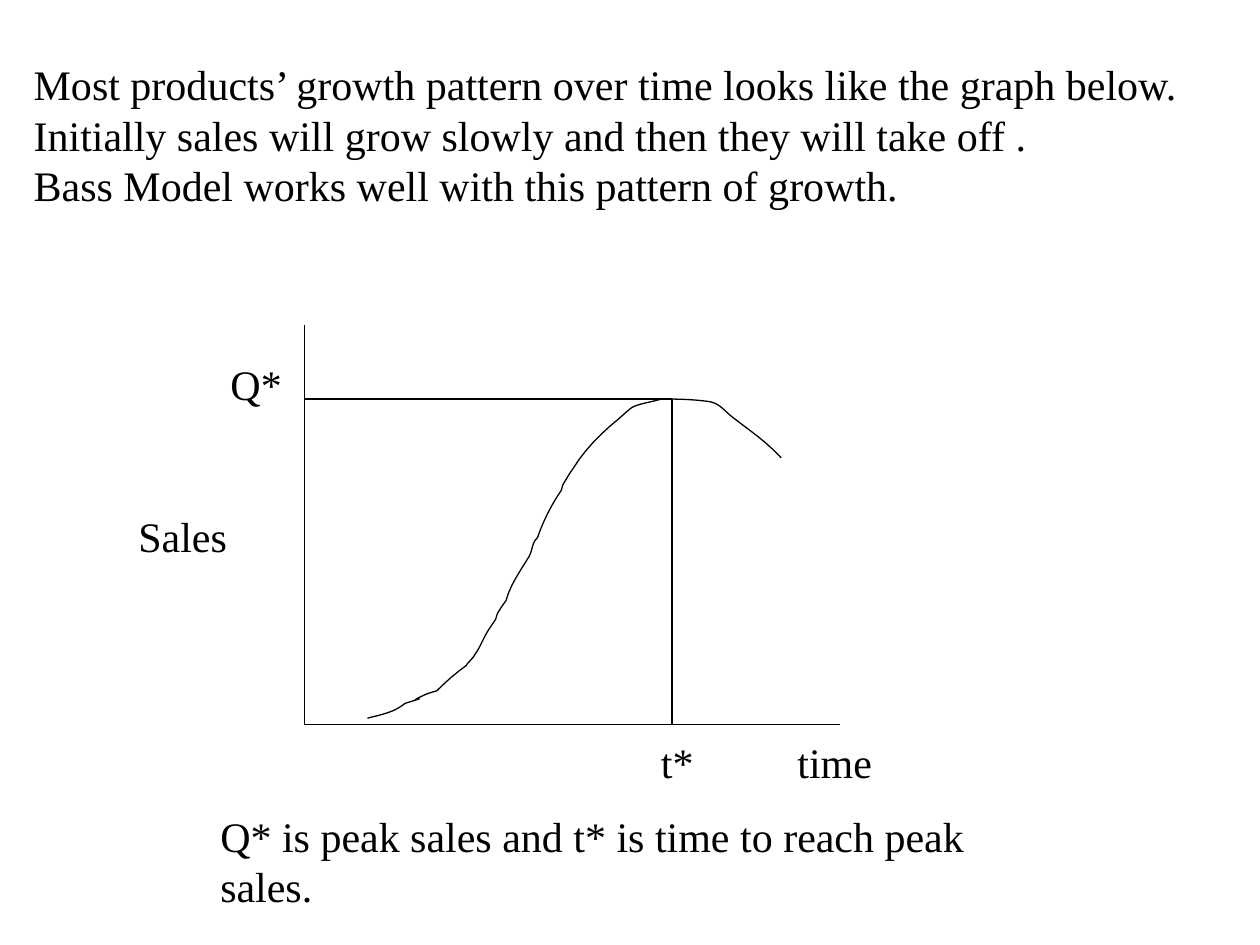
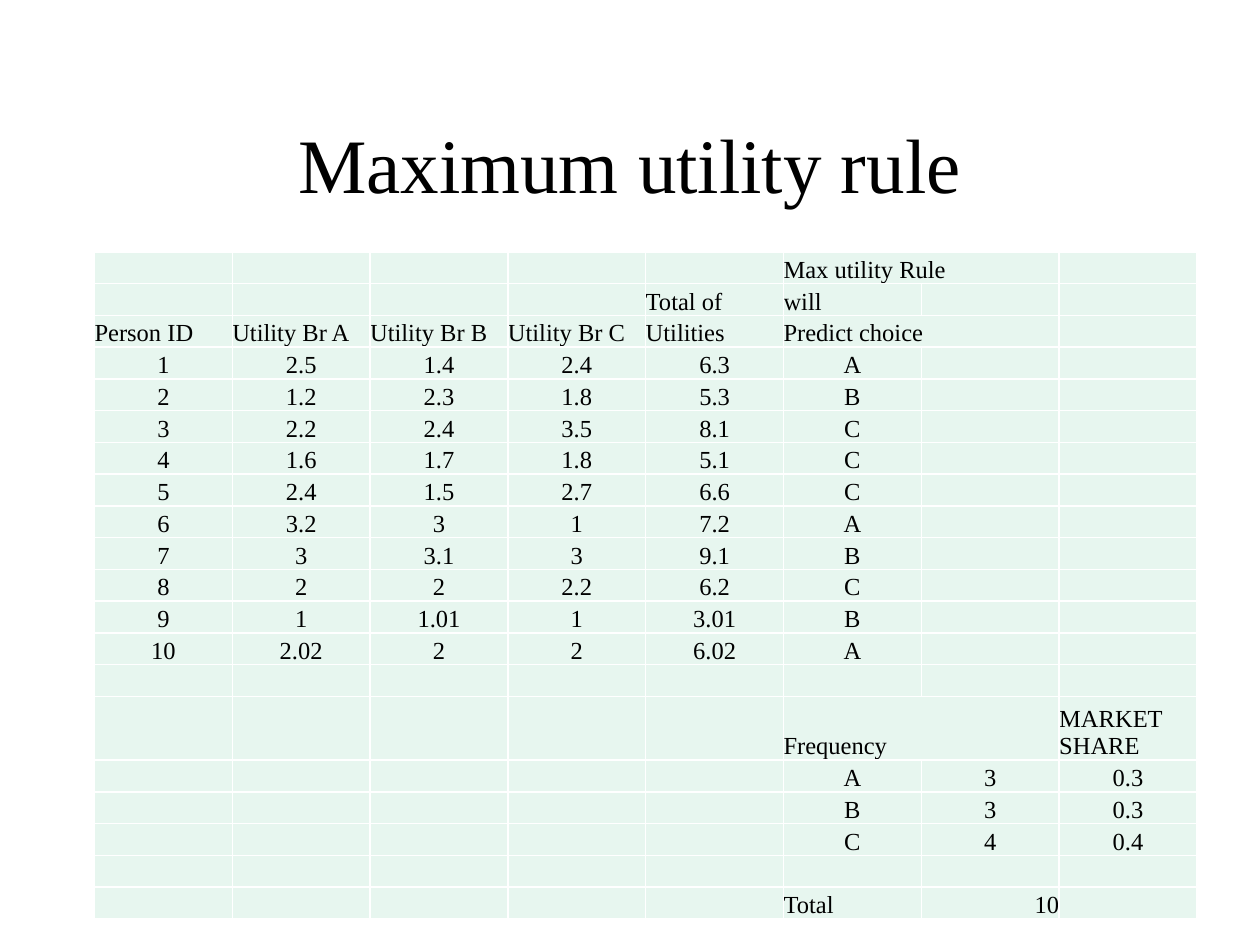
from dataclasses import dataclass
from pptx import Presentation
from pptx.dml.color import RGBColor
from pptx.enum.text import MSO_ANCHOR, PP_ALIGN
from pptx.enum.shapes import MSO_CONNECTOR
from pptx.oxml.ns import qn
from pptx.util import Pt
from lxml.etree import SubElement


@dataclass(frozen=True)
class Theme:
    font: str = "Times New Roman"
    ink: str = "000000"
    paper: str = "FFFFFF"
    mint: str = "E7F6EF"
    title: float = 44
    body: float = 24
    body_leading: float = 28.8
    table: float = 14
    line: float = 0.75
    border: float = 1


def assign(target, values):
    for name, value in values.items():
        setattr(target, name, value)


class Deck:
    def __init__(self, theme, width, height):
        self.theme = theme
        self.presentation = Presentation()
        assign(self.presentation, {"slide_width": Pt(width), "slide_height": Pt(height)})
        self.slide = None

    def new_slide(self):
        self.slide = self.presentation.slides.add_slide(self.presentation.slide_layouts[6])
        fill = self.slide.background.fill
        fill.solid()
        fill.fore_color.rgb = RGBColor.from_string(self.theme.paper)

    def add_words(self, paragraph, words, size, **layout):
        assign(paragraph, layout)
        run = paragraph.add_run()
        run.text = words
        assign(run.font, {"name": self.theme.font, "size": Pt(size)})
        run.font.color.rgb = RGBColor.from_string(self.theme.ink)

    def text(self, x, y, width, height, *lines, wrap=False):
        frame = self.slide.shapes.add_textbox(Pt(x), Pt(y), Pt(width), Pt(height)).text_frame
        frame.word_wrap = wrap
        for index, words in enumerate(lines):
            paragraph = frame.add_paragraph() if index else frame.paragraphs[0]
            self.add_words(paragraph, words, self.theme.body,
                           line_spacing=Pt(self.theme.body_leading))

    def title(self, words):
        frame = self.slide.shapes.add_textbox(Pt(54), Pt(48), Pt(612), Pt(90)).text_frame
        assign(frame, {"word_wrap": True, "vertical_anchor": MSO_ANCHOR.MIDDLE})
        self.add_words(frame.paragraphs[0], words, self.theme.title,
                       alignment=PP_ALIGN.CENTER)

    def stroke(self, line):
        line.width = Pt(self.theme.line)
        line.color.rgb = RGBColor.from_string(self.theme.ink)

    def line(self, x1, y1, x2, y2):
        connector = self.slide.shapes.add_connector(
            MSO_CONNECTOR.STRAIGHT, Pt(x1), Pt(y1), Pt(x2), Pt(y2))
        self.stroke(connector.line)
        SubElement(connector._element.spPr, qn("a:effectLst"))

    def curve(self, start, segments, steps=6):
        points, here = [], start
        for x1, y1, x2, y2, x3, y3 in segments:
            for step in range(1, steps + 1):
                t = step / steps
                weights = ((1 - t) ** 3, 3 * t * (1 - t) ** 2, 3 * t * t * (1 - t), t ** 3)
                points.append(tuple(
                    Pt(sum(w * v for w, v in zip(weights, axis)))
                    for axis in ((here[0], x1, x2, x3), (here[1], y1, y2, y3))))
            here = (x3, y3)
        builder = self.slide.shapes.build_freeform(Pt(start[0]), Pt(start[1]))
        builder.add_line_segments(points, close=False)
        shape = builder.convert_to_shape()
        shape.shadow.inherit = False
        shape.fill.background()
        self.stroke(shape.line)

    def cell(self, cell, words, alignment):
        assign(cell, {"margin_left": 0, "margin_right": 0, "margin_top": 0,
                      "margin_bottom": 0, "vertical_anchor": MSO_ANCHOR.BOTTOM})
        paragraph = cell.text_frame.paragraphs[0]
        if words:
            self.add_words(paragraph, words, self.theme.table, alignment=alignment)
        else:
            SubElement(paragraph._p, qn("a:endParaRPr"), sz=str(self.theme.table * 100))
        properties = cell._tc.get_or_add_tcPr()
        for side in ("a:lnL", "a:lnR", "a:lnT", "a:lnB"):
            border = SubElement(properties, qn(side), w=str(int(Pt(self.theme.border))))
            SubElement(SubElement(border, qn("a:solidFill")), qn("a:srgbClr"),
                       val=self.theme.paper)
        cell.fill.solid()
        cell.fill.fore_color.rgb = RGBColor.from_string(self.theme.mint)

    def table(self, x, y, width, heights, rows, merged_rows, merged_column, align):
        columns = len(rows[0])
        table = self.slide.shapes.add_table(
            len(rows), columns, Pt(x), Pt(y), Pt(width), Pt(sum(heights))).table
        assign(table, {"first_row": False, "horz_banding": False})
        for column in table.columns:
            column.width = Pt(width / columns)
        for r, (row, height) in enumerate(zip(rows, heights)):
            table.rows[r].height = Pt(height)
            for c, words in enumerate(row):
                self.cell(table.cell(r, c), words, align(r, c))
        for r in merged_rows:
            table.cell(r, merged_column).merge(table.cell(r, merged_column + 1))


deck = Deck(Theme(), 720, 540)

deck.new_slide()
origin_x, origin_y = 174, 414
peak_x, peak_y = 384, 228
deck.line(origin_x, 186, origin_x, origin_y)
deck.line(origin_x, origin_y, 480, origin_y)
deck.text(448.6, 417.6, 57, 36, "time")
deck.text(72, 288, 65, 36, "Sales")
deck.curve((210, 410.4), [
    (215.3, 409, 223.2, 407.5, 228, 404.4),
    (233.3, 401, 229.7, 402.5, 235.2, 400.8),
    (247.7, 396.7, 229, 403.2, 242.4, 397.2),
    (244.8, 396, 249.6, 394.8, 249.6, 394.8),
    (254.9, 389.5, 260.6, 384.5, 266.4, 380.4),
    (267.8, 378, 270, 376.6, 271.2, 374.4),
    (274.3, 370, 275.8, 365.8, 278.4, 361.2),
    (280.1, 358.6, 283.2, 354, 283.2, 354),
    (283.7, 352.8, 283.9, 351.4, 284.4, 350.4),
    (285.8, 347.8, 289.2, 343.2, 289.2, 343.2),
    (291.6, 334.1, 297.4, 326.2, 302.4, 318),
    (304.6, 313.9, 303.8, 310.3, 307.2, 307.2),
    (310.3, 298.1, 314.6, 289.4, 320.4, 280.8),
    (321.1, 280.1, 321.1, 278.6, 321.6, 277.2),
    (323.3, 274.3, 325.4, 270.7, 327.6, 267.6),
    (334.1, 257, 343.4, 247.7, 352.8, 240),
    (355.7, 237.6, 358.6, 234.7, 361.2, 232.8),
    (365.8, 230.4, 373, 229.7, 378, 228),
    (386.6, 228, 394.6, 228.2, 403.2, 229.2),
    (410.4, 229.7, 412.6, 233.3, 417.6, 237.6),
    (427.7, 245.5, 438.5, 252.7, 446.4, 261.6),
])
deck.line(peak_x, peak_y, peak_x, origin_y)
deck.line(peak_x, peak_y, origin_x, peak_y)
deck.text(370.6, 417.6, 33, 36, "t*")
deck.text(124.6, 201.6, 44, 36, "Q*")
deck.text(118.8, 459.4, 490, 65,
          "Q* is peak sales and t* is time to reach peak sales.", wrap=True)
deck.text(12.2, 30, 690, 93.6,
          "Most products’ growth pattern over time looks like the graph below.",
          "Initially sales will grow slowly and then they will take off .",
          "Bass Model works well with this pattern of growth.", wrap=True)

deck.new_slide()
deck.title("Maximum utility rule")
blank = [""] * 8
left_blank = [""] * 5
headings = [
    left_blank + ["Max utility Rule", "", ""],
    [""] * 4 + ["Total of", "will", "", ""],
    ["Person ID", "Utility Br A", "Utility Br B", "Utility Br C", "Utilities",
     "Predict choice", "", ""],
]
people = [
    ("2.5", "1.4", "2.4", "6.3", "A"),
    ("1.2", "2.3", "1.8", "5.3", "B"),
    ("2.2", "2.4", "3.5", "8.1", "C"),
    ("1.6", "1.7", "1.8", "5.1", "C"),
    ("2.4", "1.5", "2.7", "6.6", "C"),
    ("3.2", "3", "1", "7.2", "A"),
    ("3", "3.1", "3", "9.1", "B"),
    ("2", "2", "2.2", "6.2", "C"),
    ("1", "1.01", "1", "3.01", "B"),
    ("2.02", "2", "2", "6.02", "A"),
]
choices = [[str(number), *scores, "", ""] for number, scores in enumerate(people, 1)]
shares = [left_blank + list(share)
          for share in (("A", "3", "0.3"), ("B", "3", "0.3"), ("C", "4", "0.4"))]
rows = (headings + choices + [blank]
        + [left_blank + ["Frequency", "", "MARKET SHARE"]]
        + shares + [blank] + [left_blank + ["Total", "10", ""]])
first_choice = len(headings)
share_heading = first_choice + len(choices) + 1
total_row = len(rows) - 1
centred = {*range(first_choice, share_heading), *range(share_heading + 1, total_row)}


def align(row, column):
    if row in centred:
        return PP_ALIGN.CENTER
    return PP_ALIGN.RIGHT if (row, column) == (total_row, 6) else PP_ALIGN.LEFT


row_height = 18.16
heights = [row_height * (2 if r == share_heading else 1) for r in range(len(rows))]
deck.table(54, 144, 630, heights, rows, (0, first_choice - 1, share_heading), 5, align)

deck.presentation.save("out.pptx")
